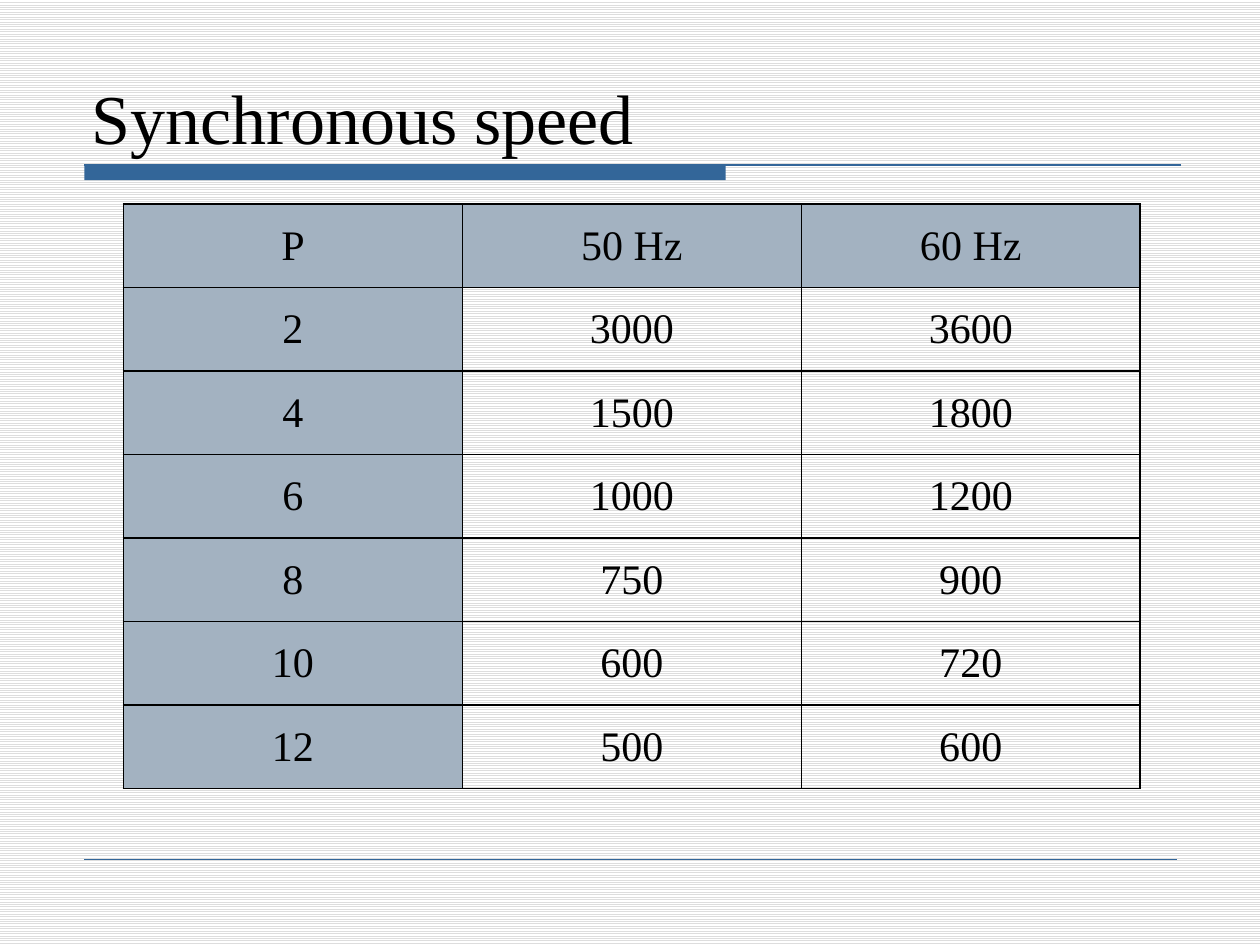
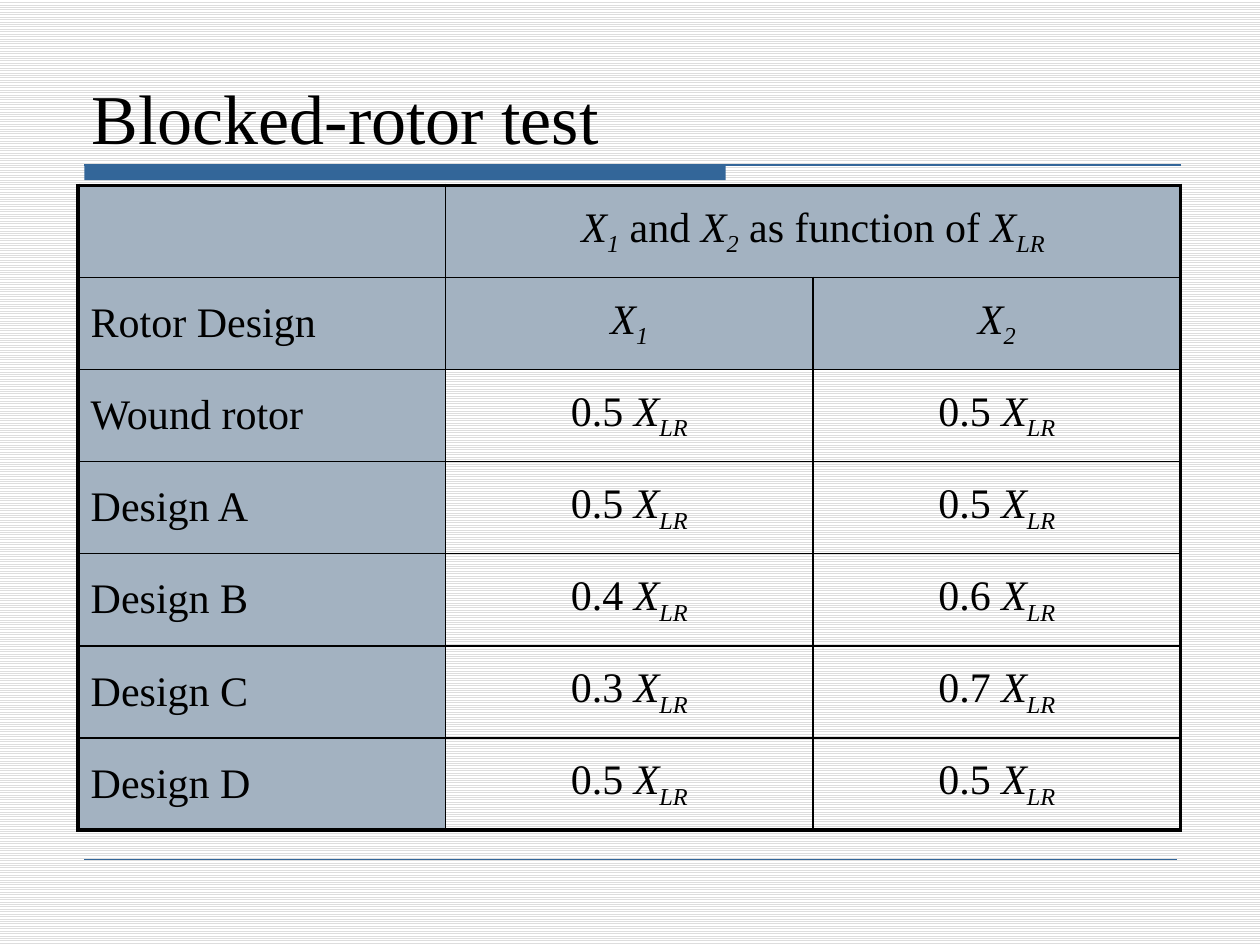
import dataclasses

import lxml.etree
import pptx
import pptx.dml.color
import pptx.enum.dml
import pptx.enum.shapes
import pptx.enum.text
import pptx.oxml.ns
import pptx.util

qn = pptx.oxml.ns.qn
Pt = pptx.util.Pt


@dataclasses.dataclass(frozen=True)
class Theme:
    """Colours, font, type sizes and line widths of the deck."""
    font: str = "Times New Roman"
    ink: str = "000000"
    blue: str = "336699"
    head: str = "A3B2C1"
    paper: str = "FFFFFF"
    stripe: str = "DDDDDD"
    title: int = 40
    body: int = 24
    thin: float = 1
    thick: float = 2.25


THEME = Theme()
WIDE, HIGH = pptx.util.Inches(10), pptx.util.Inches(7.5)
COLS, ROWS = 100, 75
TITLE_BOX = (6.3, 3.3, 87.5, 9.8)
FRAME_BOX = (6.7, 13.1, 87, 55.1)

SPEEDS = [
    ["P", "50 Hz", "60 Hz"],
    ["2", "3000", "3600"],
    ["4", "1500", "1800"],
    ["6", "1000", "1200"],
    ["8", "750", "900"],
    ["10", "600", "720"],
    ["12", "500", "600"],
]
SHARES = [
    ("Wound rotor", 0.5, 0.5),
    ("Design A", 0.5, 0.5),
    ("Design B", 0.4, 0.6),
    ("Design C", 0.3, 0.7),
    ("Design D", 0.5, 0.5),
]
ROTORS = [
    ["", "*X_1* and *X_2* as function of *X_LR*", ""],
    ["Rotor Design", "*X_1*", "*X_2*"],
] + [[name, f"{one} *X_LR*", f"{two} *X_LR*"] for name, one, two in SHARES]


def place(*box):
    """Turn columns and rows of the slide grid into lengths."""
    units = (WIDE / COLS, HIGH / ROWS) * 2
    return [round(size * unit) for size, unit in zip(box, units)]


def rgb(code):
    """Give the colour for a hex code."""
    return pptx.dml.color.RGBColor.from_string(code)


def style(run, size):
    """Set the font of a run."""
    run.font.name = THEME.font
    run.font.size = Pt(size)
    run.font.color.rgb = rgb(THEME.ink)


def rule(slide, x, y, width, weight):
    """Draw a level blue line."""
    line = slide.shapes.add_connector(
        pptx.enum.shapes.MSO_CONNECTOR.STRAIGHT, *place(x, y, x + width, y))
    line.line.color.rgb = rgb(THEME.blue)
    line.line.width = Pt(weight)
    lxml.etree.SubElement(line.element.spPr, qn("a:effectLst"))
    return line


def frame(layout, slide, box):
    """Draw the title band and foot line, then move them to the layout."""
    x, y, width, height = box
    band = slide.shapes.add_shape(
        pptx.enum.shapes.MSO_SHAPE.RECTANGLE, *place(x, y, 50.9, 1.2))
    band.shadow.inherit = False
    band.fill.solid()
    band.fill.fore_color.rgb = rgb(THEME.blue)
    band.line.fill.background()
    top = rule(slide, x, y, width, 0.75)
    foot = rule(slide, x, y + height, width - 0.3, 0.25)
    for number, part in enumerate((band, top, foot), 20):
        part.element.xpath(".//p:cNvPr")[0].set("id", str(number))
        layout.shapes.element.append(part.element)


def paint(master):
    """Give the master its striped ground."""
    fill = master.background.fill
    fill.patterned()
    fill.pattern = pptx.enum.dml.MSO_PATTERN.LIGHT_HORIZONTAL
    fill.fore_color.rgb = rgb(THEME.stripe)
    fill.back_color.rgb = rgb(THEME.paper)


def title(slide, text, box):
    """Fill and format the title placeholder."""
    shape = slide.shapes.title
    shape.left, shape.top, shape.width, shape.height = place(*box)
    shape.text_frame.text = text
    shape.text_frame.vertical_anchor = pptx.enum.text.MSO_ANCHOR.BOTTOM
    para = shape.text_frame.paragraphs[0]
    para.alignment = pptx.enum.text.PP_ALIGN.LEFT
    style(para.runs[0], THEME.title)


def write(cell, text, align):
    """Write text where *X_1* marks an italic symbol with a subscript."""
    cell.vertical_anchor = pptx.enum.text.MSO_ANCHOR.MIDDLE
    para = cell.text_frame.paragraphs[0]
    para.alignment = align
    space = lxml.etree.SubElement(para._p.get_or_add_pPr(), qn("a:spcBef"))
    lxml.etree.SubElement(space, qn("a:spcPct")).set("val", "20000")
    for place_no, part in enumerate(text.split("*")):
        for low, piece in enumerate(part.split("_")):
            if piece:
                run = para.add_run()
                run.text = piece
                style(run, THEME.body)
                run.font.italic = place_no % 2 == 1
                if low:
                    run._r.get_or_add_rPr().set("baseline", "-25000")


def edge(cell, widths):
    """Draw the left, right, top and bottom borders of a cell."""
    props = cell._tc.get_or_add_tcPr()
    for side, width in zip("LRTB", widths):
        line = lxml.etree.SubElement(props, qn(f"a:ln{side}"))
        line.set("w", str(Pt(width)))
        fill = lxml.etree.SubElement(line, qn("a:solidFill"))
        lxml.etree.SubElement(fill, qn("a:srgbClr")).set("val", THEME.ink)


def grid(slide, data, box, heads=1, rim=THEME.thin, merge=None,
         first=pptx.enum.text.PP_ALIGN.CENTER):
    """Build a table with shaded head rows and a shaded first column."""
    high, wide = len(data), len(data[0])
    table = slide.shapes.add_table(high, wide, *place(*box)).table
    table.first_row = table.horz_banding = False
    if merge:
        start, end = merge
        table.cell(*start).merge(table.cell(*end))
    for r, row in enumerate(data):
        for c, text in enumerate(row):
            cell = table.cell(r, c)
            last = c + (cell.span_width if cell.is_merge_origin else 1)
            outer = (c == 0, last == wide, r == 0, r == high - 1)
            edge(cell, [rim if out else THEME.thin for out in outer])
            if r < heads or c == 0:
                cell.fill.solid()
                cell.fill.fore_color.rgb = rgb(THEME.head)
            else:
                cell.fill.background()
            write(cell, text, pptx.enum.text.PP_ALIGN.CENTER if c else first)


def main():
    """Build and save the deck."""
    deck = pptx.Presentation()
    deck.slide_width, deck.slide_height = WIDE, HIGH
    paint(deck.slide_master)
    layout = deck.slide_layouts[5]
    speed, rotor = [deck.slides.add_slide(layout) for _ in range(2)]
    frame(layout, speed, FRAME_BOX)
    title(speed, "Synchronous speed", TITLE_BOX)
    grid(speed, SPEEDS, (9.8, 16.2, 80.7, 46.4))
    title(rotor, "Blocked-rotor test", TITLE_BOX)
    grid(rotor, ROTORS, (6.2, 14.7, 87.5, 51.2), heads=2, rim=THEME.thick,
         merge=((0, 1), (0, 2)), first=pptx.enum.text.PP_ALIGN.LEFT)
    deck.save("out.pptx")


if __name__ == "__main__":
    main()
